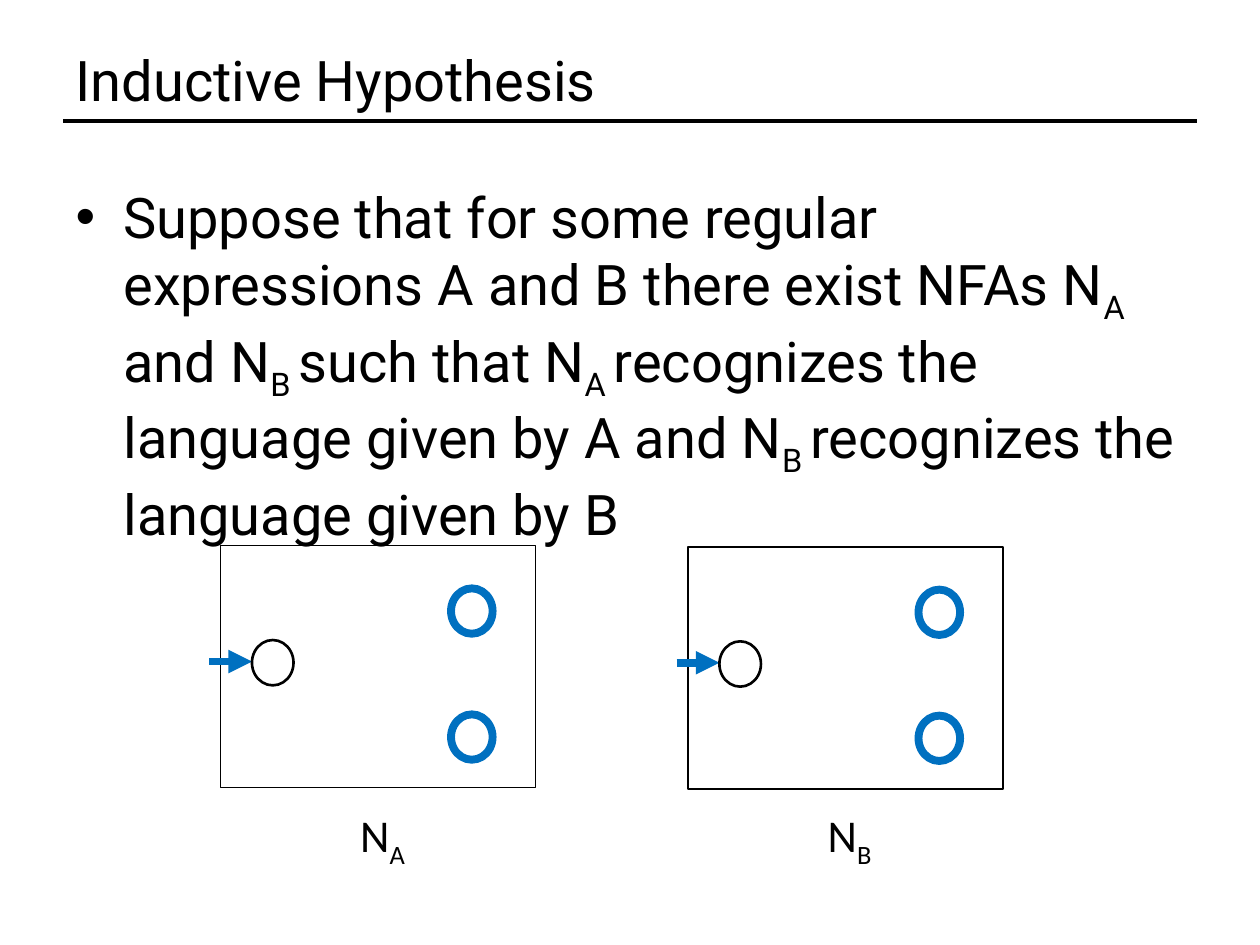
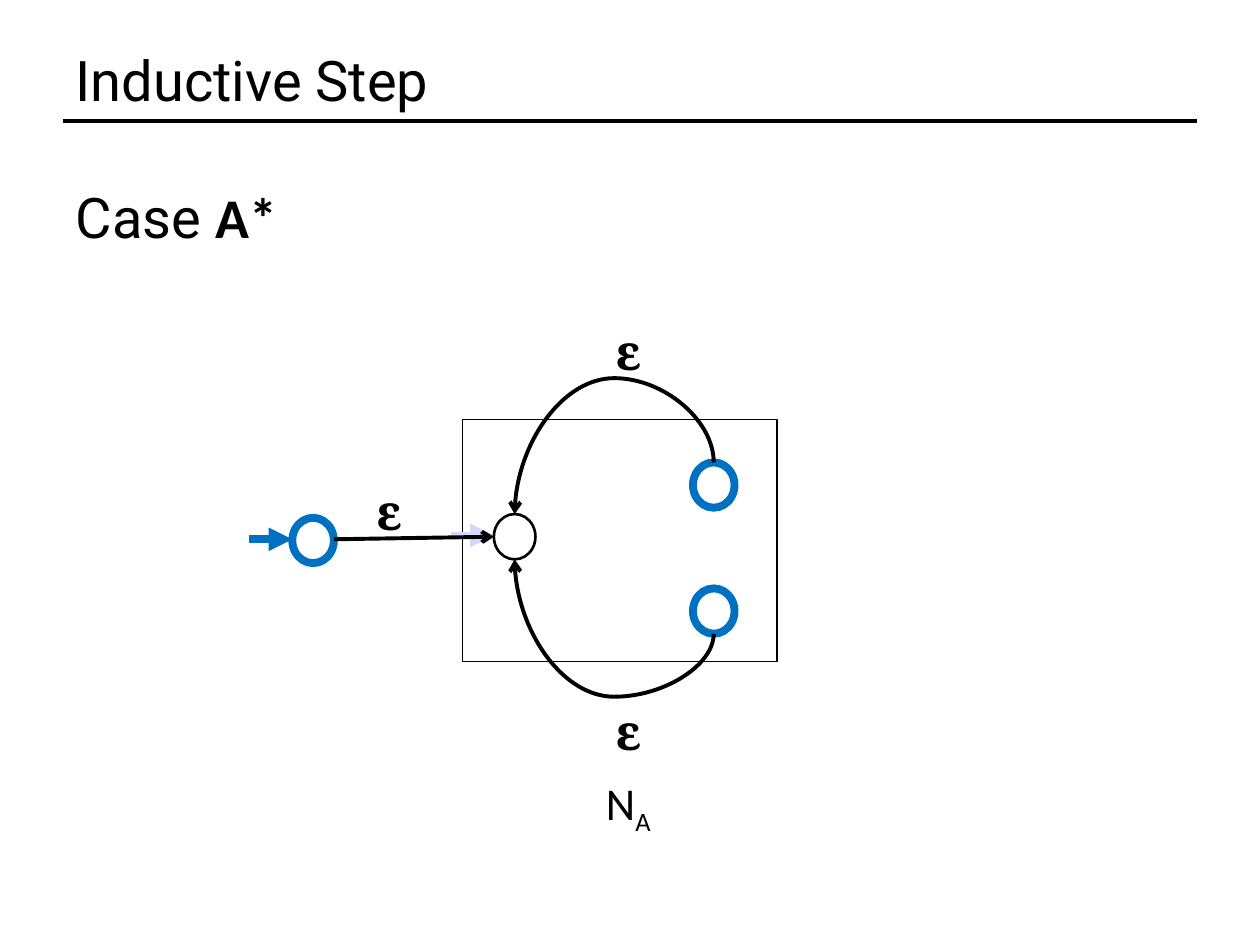
from lxml import etree
from pptx import Presentation
from pptx.dml.color import RGBColor
from pptx.enum.shapes import MSO_CONNECTOR, MSO_SHAPE
from pptx.enum.text import MSO_ANCHOR, MSO_AUTO_SIZE, PP_ALIGN
from pptx.oxml.ns import qn
from pptx.util import Pt

EMU_PER_PX = 9144  # 100 px to the inch
STRAIGHT, CURVE = MSO_CONNECTOR.STRAIGHT, MSO_CONNECTOR.CURVE
RECTANGLE, OVAL = MSO_SHAPE.RECTANGLE, MSO_SHAPE.OVAL
LEFT, MIDDLE, TOP = PP_ALIGN.LEFT, MSO_ANCHOR.MIDDLE, MSO_ANCHOR.TOP
TITLE_AND_CONTENT = 1

COLORS = {"ink": "000000", "accent": "0070C0", "faded": "D6D6FF"}
SUB = {"baseline": -25000}
MAIN_FONT, LABEL_FONT, SYMBOL_FONT = "Roboto", "Calibri", "Cambria"

TITLE_BOX = (50, 30, 900, 66)
BODY_BOX = (50, 136, 900, 562)
HANGING = 38
NFA_SIZE = (250, 192)
STATE_SIZE = (33, 36)
ENTRY_LENGTH = 34
START_OFFSET = (25, 75)
ACCEPT_OFFSETS = [(183, 34), (183, 134)]


def px(*values):
    return [round(value * EMU_PER_PX) for value in values]


def color(name):
    return RGBColor.from_string(COLORS[name])


def write_text(paragraph, runs, **text_format):
    """Write (text, overrides) pairs; the overrides win over text_format."""
    for text, overrides in runs:
        look = {"font": MAIN_FONT, "size": 32, "bold": False, "ink": "ink",
                "baseline": 0, **text_format, **overrides}
        run = paragraph.add_run()
        run.text = text
        run.font.name = look["font"]
        run.font.size = Pt(look["size"])
        run.font.bold = look["bold"]
        run.font.color.rgb = color(look["ink"])
        if look["baseline"]:
            run.font._element.set("baseline", str(look["baseline"]))


def place(shape, box):
    shape.left, shape.top, shape.width, shape.height = px(*box)


def prepare_placeholder(shape, box, anchor):
    place(shape, box)
    frame = shape.text_frame
    frame.auto_size = MSO_AUTO_SIZE.NONE
    frame.vertical_anchor = anchor
    paragraph = frame.paragraphs[0]
    paragraph.alignment = LEFT
    return paragraph


def add_outline(shapes, kind, box, line_color, weight):
    shape = shapes.add_shape(kind, *px(*box))
    shape.shadow.inherit = False
    shape.fill.background()
    shape.line.color.rgb = color(line_color)
    shape.line.width = Pt(weight)


def add_line(shapes, start, end, line_color="ink", weight=2.25, head=None, kind=STRAIGHT):
    connector = shapes.add_connector(kind, *px(*start, *end))
    connector.line.color.rgb = color(line_color)
    connector.line.width = Pt(weight)
    if head:
        etree.SubElement(connector.line._get_or_add_ln(), qn("a:tailEnd"), type=head)
    etree.SubElement(connector._element.spPr, qn("a:effectLst"))
    return connector


def add_loop_arrow(shapes, start, end, bulge_y):
    """Curve leftwards from start to end, swinging out vertically to bulge_y."""
    upward = bulge_y < start[1]
    run, rise = start[0] - end[0], abs(end[1] - start[1])
    connector = add_line(shapes, start, end, head="arrow", kind=CURVE)
    middle_x, middle_y = (start[0] + end[0]) / 2, (start[1] + end[1]) / 2
    place(connector, (middle_x - rise / 2, middle_y - run / 2, rise, run))
    transform = connector._element.spPr.find(qn("a:xfrm"))
    transform.set("rot", str((270 if upward else 90) * 60000))
    transform.set("flipH", "1")
    transform.set("flipV", "1" if upward else "0")
    adjust = round(-abs(bulge_y - start[1]) / rise * 100000)
    guides = connector._element.spPr.find(qn("a:prstGeom")).get_or_add_avLst()
    etree.SubElement(guides, qn("a:gd"), name="adj1", fmla=f"val {adjust}")


def add_label(slide, box, runs, **text_format):
    shape = slide.shapes.add_textbox(*px(*box))
    frame = shape.text_frame
    frame.word_wrap = False
    frame.auto_size = MSO_AUTO_SIZE.SHAPE_TO_FIT_TEXT
    write_text(frame.paragraphs[0], runs, **text_format)


def add_machine_name(slide, left, top, letter):
    add_label(slide, (left, top, 58, 54), [("N", {}), (letter, SUB)],
              font=LABEL_FONT, size=26)


def add_epsilon(slide, left, top):
    add_label(slide, (left, top, 39, 57), [("ɛ", {})],
              font=SYMBOL_FONT, size=28, bold=True)


def add_entry_arrow(shapes, tip_x, y, line_color="accent"):
    add_line(shapes, (tip_x - ENTRY_LENGTH, y), (tip_x, y), line_color, 4.5, "triangle")


def add_nfa(slide, left, top, entry_color="accent"):
    """Group a framed machine: entry arrow, start state and two accepting states."""
    shapes = slide.shapes.add_group_shape().shapes
    start_x, start_y = START_OFFSET
    add_outline(shapes, RECTANGLE, (left, top, *NFA_SIZE), "ink", 1)
    add_entry_arrow(shapes, left + start_x, top + start_y + 17, entry_color)
    add_outline(shapes, OVAL, (left + start_x, top + start_y, *STATE_SIZE), "ink", 1.5)
    for x, y in ACCEPT_OFFSETS:
        add_outline(shapes, OVAL, (left + x, top + y, *STATE_SIZE), "accent", 4.5)


def add_content_slide(presentation, title, body_runs, bullet=None):
    slide = presentation.slides.add_slide(presentation.slide_layouts[TITLE_AND_CONTENT])
    add_line(slide.shapes, (50, 96), (950, 96), weight=2)
    heading = prepare_placeholder(slide.shapes.title, TITLE_BOX, MIDDLE)
    write_text(heading, [(title, {})])

    body = slide.placeholders[1]
    paragraph = prepare_placeholder(body, BODY_BOX, TOP)
    body.text_frame.margin_top = px(9)[0]
    paragraph.space_before = Pt(0)
    properties = paragraph._p.get_or_add_pPr()
    indent = px(HANGING)[0]
    properties.set("marL", str(indent))
    properties.set("indent", str(-indent))
    if bullet:
        etree.SubElement(properties, qn("a:buChar"), char=bullet)
    else:
        etree.SubElement(properties, qn("a:buNone"))
    write_text(paragraph, body_runs)
    return slide


def build_hypothesis(presentation):
    slide = add_content_slide(presentation, "Inductive Hypothesis", [
        ("Suppose that for some regular expressions A and B there exist NFAs N", {}),
        ("A", SUB), (" and N", {}), ("B ", SUB), ("such that N", {}), ("A ", SUB),
        ("recognizes the language given by A and N", {}), ("B ", SUB),
        ("recognizes the language given by B", {}),
    ], bullet="•")
    for letter, left, top in [("A", 175, 433), ("B", 546, 434)]:
        add_nfa(slide, left, top)
        add_machine_name(slide, left + 101, 636, letter)


def build_star_case(presentation):
    slide = add_content_slide(presentation, "Inductive Step", [
        ("Case ", {}), ("A*", {"font": LABEL_FONT, "bold": True})])
    left, top = 367, 333
    state_width, state_height = STATE_SIZE
    add_nfa(slide, left, top, entry_color="faded")

    new_start = slide.shapes.add_group_shape().shapes
    new_x, new_y = 232, 411
    add_entry_arrow(new_start, new_x, new_y + 17)
    add_outline(new_start, OVAL, (new_x, new_y, *STATE_SIZE), "accent", 4.5)

    start_x, start_y = left + START_OFFSET[0], top + START_OFFSET[1]
    add_line(slide.shapes, (new_x + state_width, new_y + 17),
             (start_x, start_y + 18), head="arrow")
    center_x = start_x + state_width / 2
    (upper_x, upper_y), (lower_x, lower_y) = [
        (left + x + state_width / 2, top + y) for x, y in ACCEPT_OFFSETS]
    add_loop_arrow(slide.shapes, (upper_x, upper_y), (center_x, start_y), 300)
    add_loop_arrow(slide.shapes, (lower_x, lower_y + state_height),
                   (center_x, start_y + state_height), 553)
    for epsilon_left, epsilon_top in [(289, 377), (479, 250), (479, 552)]:
        add_epsilon(slide, epsilon_left, epsilon_top)
    add_machine_name(slide, left + 104, 610, "A")


def main():
    presentation = Presentation()
    presentation.slide_width, presentation.slide_height = px(1000, 750)
    build_hypothesis(presentation)
    build_star_case(presentation)
    presentation.save("out.pptx")


if __name__ == "__main__":
    main()
